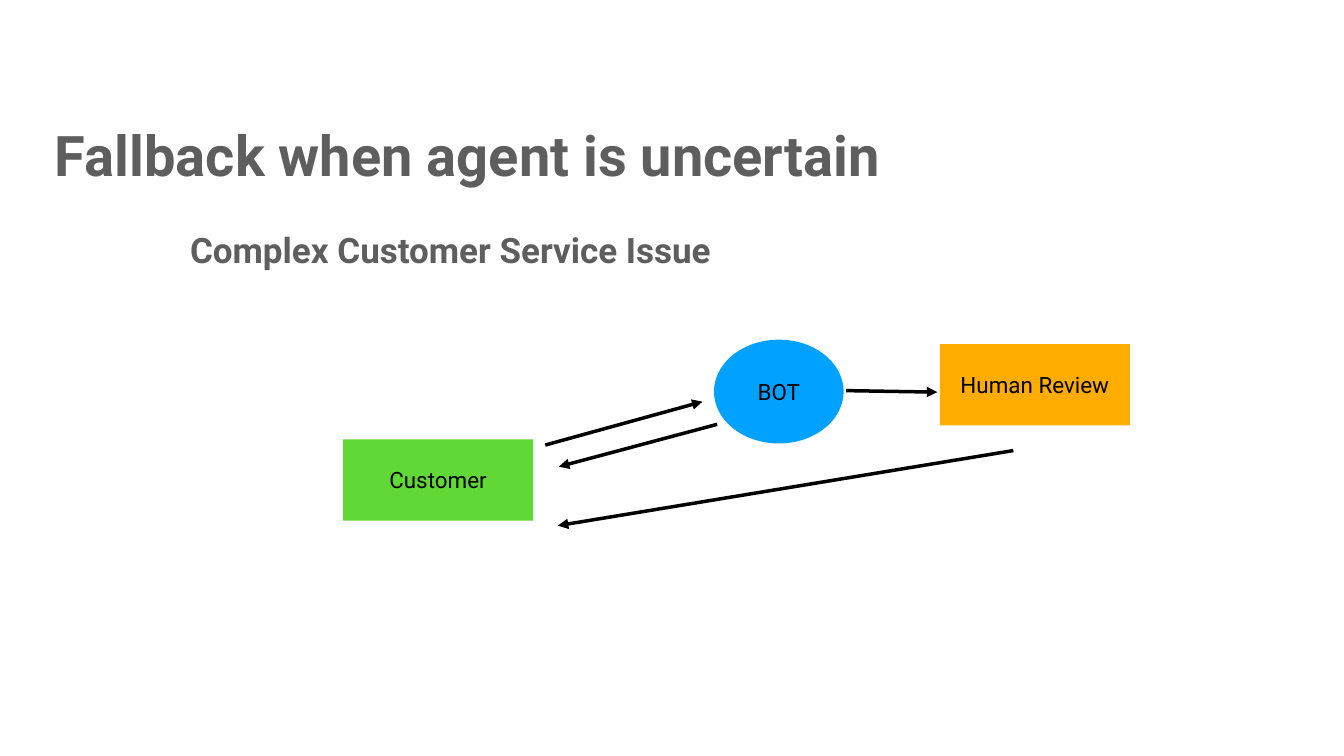
"""Build a slide on handing a customer issue from a bot to human review."""
from lxml import etree
from pptx import Presentation, util as u
from pptx.dml.color import RGBColor
from pptx.enum import shapes, text
from pptx.oxml.ns import qn

THEME = {
    "font": "Roboto", "heading": "5E5E5E", "ink": "000000",
    "customer": "60D937", "bot": "00A1FF", "review": "FEAD00",
    "title_size": 80, "subtitle_size": 50, "label_size": 32, "arrow_width": 5,
}
WIDTH, HEIGHT = u.Inches(26.67), u.Inches(15)
BOX = (14.14, 10.73)
RECT, OVAL = shapes.MSO_SHAPE.RECTANGLE, shapes.MSO_SHAPE.OVAL

HEADINGS = [
    ("Complex Customer Service Issue", (12.67, 29.93), (41.73, 6.27), "subtitle_size"),
    ("Fallback when agent is uncertain", (1.87, 15.67), (65.88, 9.53), "title_size"),
]
ACTORS = [
    ("BOT", OVAL, (53.13, 44.93), (9.64, 13.73), "bot"),
    ("Human Review", RECT, (69.93, 45.53), BOX, "review"),
    ("Customer", RECT, (25.53, 58.13), BOX, "customer"),
]
MESSAGES = [
    ((62.95, 51.67), (69.74, 51.87)),
    ((40.57, 58.87), (52.27, 53.13)),
    ((75.4, 59.6), (41.51, 69.53)),
    ((53.36, 56.13), (41.58, 61.73)),
]


def colour(role):
    return RGBColor.from_string(THEME[role])


def place(*points):
    return [round(share * side / 100) for point in points
            for share, side in zip(point, (WIDTH, HEIGHT))]


def apply(target, values):
    for key, value in values.items():
        setattr(target, key, value)


def write(frame, words, size, role, bold, wrap):
    inset = u.Inches(0.06)
    apply(frame, {
        "margin_left": inset, "margin_right": inset,
        "margin_top": inset, "margin_bottom": inset,
        "word_wrap": wrap, "vertical_anchor": text.MSO_ANCHOR.MIDDLE,
    })
    paragraph = frame.paragraphs[0]
    paragraph.alignment = text.PP_ALIGN.CENTER
    run = paragraph.add_run()
    run.text = words
    apply(run.font, {"name": THEME["font"], "size": u.Pt(THEME[size]), "bold": bold})
    run.font.color.rgb = colour(role)


def add_heading(slide, words, corner, extent, size):
    heading = slide.shapes.add_textbox(*place(corner, extent))
    write(heading.text_frame, words, size, "heading", True, False)


def add_actor(slide, words, outline, corner, extent, role):
    actor = slide.shapes.add_shape(outline, *place(corner, extent))
    actor.shadow.inherit = False
    actor.fill.solid()
    actor.fill.fore_color.rgb = colour(role)
    actor.line.fill.background()
    write(actor.text_frame, words, "label_size", "ink", False, True)


def add_message(slide, start, end):
    arrow = slide.shapes.add_connector(shapes.MSO_CONNECTOR.STRAIGHT, *place(start, end))
    arrow.line.width = u.Pt(THEME["arrow_width"])
    arrow.line.color.rgb = colour("ink")
    etree.SubElement(arrow.line._get_or_add_ln(), qn("a:tailEnd"), type="triangle")
    etree.SubElement(arrow._element.spPr, qn("a:effectLst"))


def main():
    deck = Presentation()
    apply(deck, {"slide_width": WIDTH, "slide_height": HEIGHT})
    slide = deck.slides.add_slide(deck.slide_layouts[6])
    for add, parts in ((add_heading, HEADINGS), (add_actor, ACTORS), (add_message, MESSAGES)):
        for part in parts:
            add(slide, *part)
    deck.save("out.pptx")


if __name__ == "__main__":
    main()
